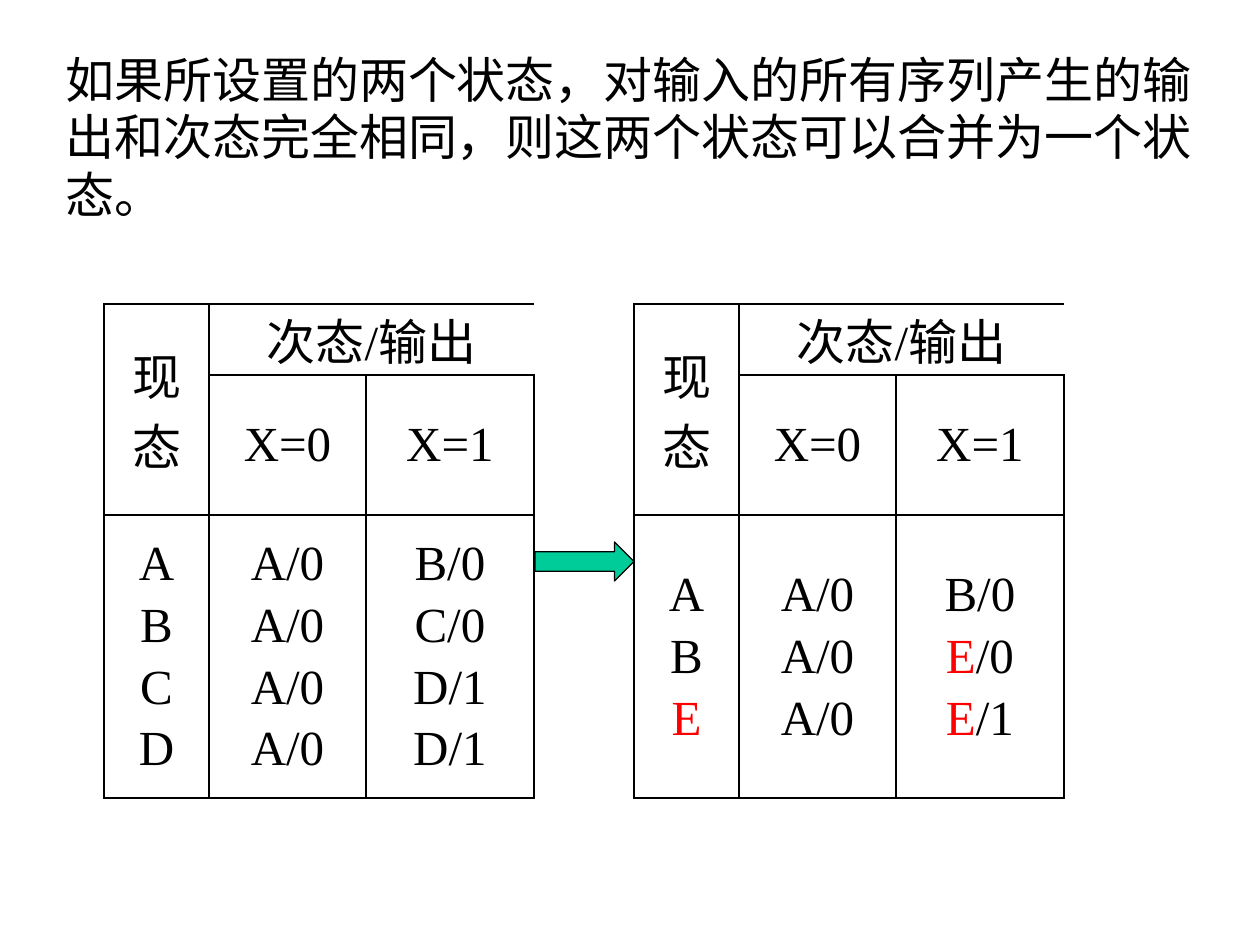
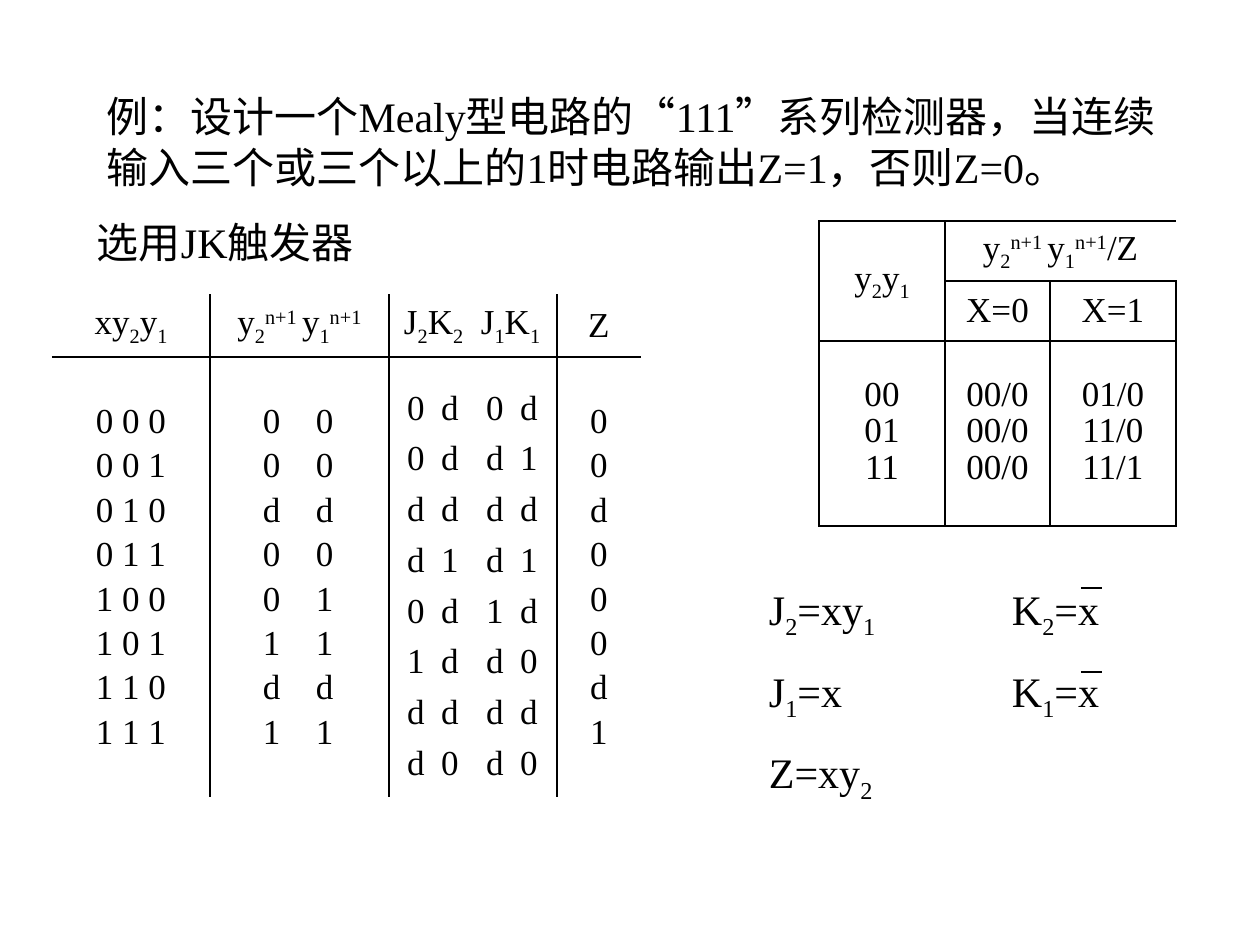
from dataclasses import dataclass
from typing import Optional

from lxml import etree
from pptx import Presentation
from pptx.dml.color import RGBColor
from pptx.enum.shapes import MSO_CONNECTOR, MSO_SHAPE
from pptx.enum.text import MSO_ANCHOR, MSO_AUTO_SIZE, PP_ALIGN
from pptx.oxml.ns import qn
from pptx.util import Pt

EMU_PER_PX = 914400 / 126
FONT = "Times New Roman"
BLACK, RED, GREEN = "000000", "FF0000", "00CC99"
BASELINES = {"_": "-25000", "^": "30000"}
PLAIN_TABLE = "{2D5ABB26-0587-4C30-8999-92F81FD0307C}"
TITLE_ONLY = 5
LEFT, CENTER = PP_ALIGN.LEFT, PP_ALIGN.CENTER
TOP, MIDDLE = MSO_ANCHOR.TOP, MSO_ANCHOR.MIDDLE
STRAIGHT, ARROW = MSO_CONNECTOR.STRAIGHT, MSO_SHAPE.RIGHT_ARROW
NO_RESIZE = MSO_AUTO_SIZE.NONE
SIDES = {"lnL": (0, -1), "lnR": (0, 1), "lnT": (-1, 0), "lnB": (1, 0)}


@dataclass(frozen=True)
class Style:
    size: int
    align: int = CENTER
    before: float = 0
    leading: Optional[float] = None
    tabs: tuple[int, ...] = ()


@dataclass(frozen=True)
class Cell:
    text: str
    style: Style
    indent: Optional[int] = None


@dataclass(frozen=True)
class Grid:
    left: int
    top: int
    columns: tuple[int, ...]
    rows: tuple[int, ...]
    cells: tuple[tuple[Optional[Cell], ...], ...]
    merges: tuple[tuple[int, int, int, int], ...] = ()
    framed: bool = True


HEADING_LARGE = Style(28, LEFT, leading=Pt(33))
HEADING = Style(24, LEFT, leading=Pt(29))
STATE = Style(28, before=4.4)
STATE_HEAD = Style(28, leading=Pt(40))
CODE = Style(20, before=3.2)
CODE_TIGHT = Style(20, before=3.2, leading=0.8)
CODE_PAIR = Style(20, LEFT, before=3.2, tabs=(53,))
JK_HEAD = Style(20, LEFT, tabs=(77,))
JK_ROWS = Style(20, LEFT, before=5, tabs=(34, 79, 113))
EQUATION = Style(24, LEFT, before=14, tabs=(243,))

HEADER_MERGES = ((0, 0, 1, 0), (0, 1, 0, 2))
NEXT_STATE = "y|_2|^n+1 |y|_1|^n+1"


def px(length: int) -> int:
    return round(length * EMU_PER_PX)


def color(value: str) -> RGBColor:
    return RGBColor.from_string(value)


def write(frame, text: str, style: Style) -> None:
    for index, line in enumerate(text.split("\n")):
        para = frame.paragraphs[0] if index == 0 else frame.add_paragraph()
        para.alignment = style.align
        para.space_before = Pt(style.before if index else 0)
        if style.leading is not None:
            para.line_spacing = style.leading
        if style.tabs:
            stops = etree.SubElement(para._p.get_or_add_pPr(), qn("a:tabLst"))
            for stop in style.tabs:
                etree.SubElement(stops, qn("a:tab"), pos=str(px(stop)), algn="l")
        for part in line.split("|"):
            mark = part[0] if part[0] in "_^!" else ""
            span = para.add_run()
            span.text = part[len(mark):]
            span.font.name = FONT
            span.font.size = Pt(style.size)
            span.font.color.rgb = color(RED if mark == "!" else BLACK)
            if mark in BASELINES:
                span._r.get_or_add_rPr().set("baseline", BASELINES[mark])


def place(box, left: int, top: int, width: int, height: int) -> None:
    box.left, box.top, box.width, box.height = map(px, (left, top, width, height))


def add_titled_page(deck, text: str, style: Style, area: tuple[int, int, int, int]):
    page = deck.slides.add_slide(deck.slide_layouts[TITLE_ONLY])
    title = page.shapes.title
    place(title, *area)
    frame = title.text_frame
    frame.word_wrap = True
    frame.auto_size = NO_RESIZE
    frame.vertical_anchor = TOP
    write(frame, text, style)
    return page


def add_text(page, text: str, style: Style, area: tuple[int, int, int, int], indent: int = 13) -> None:
    box = page.shapes.add_textbox(*map(px, area))
    frame = box.text_frame
    frame.word_wrap = True
    frame.margin_left = px(indent)
    write(frame, text, style)


def add_border(cell, side: str, visible: bool) -> None:
    line = etree.SubElement(cell._tc.get_or_add_tcPr(), qn(f"a:{side}"), w=str(Pt(1)))
    if visible:
        fill = etree.SubElement(line, qn("a:solidFill"))
        etree.SubElement(fill, qn("a:srgbClr"), val=BLACK)
    else:
        etree.SubElement(line, qn("a:noFill"))


def add_grid(page, grid: Grid) -> None:
    row_count, column_count = len(grid.rows), len(grid.columns)
    size = (sum(grid.columns), sum(grid.rows))
    holder = page.shapes.add_table(row_count, column_count, *map(px, (grid.left, grid.top, *size)))
    table = holder.table
    table.first_row = table.horz_banding = False
    table._tbl.tblPr.find(qn("a:tableStyleId")).text = PLAIN_TABLE
    for column, width in zip(table.columns, grid.columns):
        column.width = px(width)
    for row, height in zip(table.rows, grid.rows):
        row.height = px(height)
    owners = {(r, c): (r, c) for r in range(row_count) for c in range(column_count)}
    for first_row, first_column, last_row, last_column in grid.merges:
        table.cell(first_row, first_column).merge(table.cell(last_row, last_column))
        for r in range(first_row, last_row + 1):
            for c in range(first_column, last_column + 1):
                owners[r, c] = (first_row, first_column)
    for (r, c), owner in owners.items():
        cell = table.cell(r, c)
        for side, (down, across) in SIDES.items():
            neighbour = owners.get((r + down, c + across))
            visible = grid.framed if neighbour is None else neighbour != owner
            add_border(cell, side, visible)
        cell.fill.background()
        cell.vertical_anchor = MIDDLE
        cell.margin_top = cell.margin_bottom = 0
        content = grid.cells[r][c]
        if content:
            if content.indent is not None:
                cell.margin_left, cell.margin_right = px(content.indent), 0
            write(cell.text_frame, content.text, content.style)


def state_table(left: int, states: str, low: str, high: str) -> Grid:
    return Grid(
        left, 304, (105, 157, 168), (71, 130, 283),
        (
            (Cell("现态", STATE_HEAD), Cell("次态/输出", STATE_HEAD), None),
            (None, Cell("X=0", STATE), Cell("X=1", STATE)),
            tuple(Cell(text, STATE) for text in (states, low, high)),
        ),
        HEADER_MERGES,
    )


def build_merging_page(deck) -> None:
    page = add_titled_page(
        deck,
        "如果所设置的两个状态，对输入的所有序列产生的输出和次态完全相同，则这两个状态可以合并为一个状态。",
        HEADING_LARGE, (53, 44, 1163, 190),
    )
    add_grid(page, state_table(104, "A\nB\nC\nD", "\n".join(["A/0"] * 4), "B/0\nC/0\nD/1\nD/1"))
    add_grid(page, state_table(634, "A\nB\n!E", "\n".join(["A/0"] * 3), "B/0\n!E|/0\n!E|/1"))
    arrow = page.shapes.add_shape(ARROW, *map(px, (535, 542, 99, 39)))
    arrow.shadow.inherit = False
    arrow.fill.solid()
    arrow.fill.fore_color.rgb = color(GREEN)
    arrow.line.color.rgb = color(BLACK)
    arrow.line.width = Pt(0.75)


def build_detector_page(deck) -> None:
    page = add_titled_page(
        deck,
        "例：设计一个Mealy型电路的“111”系列检测器，当连续输入三个或三个以上的1时电路输出Z=1，否则Z=0。",
        HEADING, (94, 84, 1113, 113),
    )
    add_grid(page, Grid(
        819, 221, (126, 105, 126), (60, 60, 185),
        (
            (Cell("y|_2|y|_1", CODE), Cell(NEXT_STATE + "|/Z", CODE), None),
            (None, Cell("X=0", CODE), Cell("X=1", CODE)),
            tuple(Cell(text, CODE_TIGHT) for text in
                  ("00\n01\n11", "00/0\n00/0\n00/0", "01/0\n11/0\n11/1")),
        ),
        HEADER_MERGES,
    ))
    add_text(page, "选用JK触发器", HEADING, (84, 210, 514, 63))
    inputs = "\n".join(" ".join(f"{number:03b}") for number in range(8))
    following = "\n".join("\t".join(pair) for pair in "00 00 dd 00 01 11 dd 11".split())
    add_grid(page, Grid(
        52, 294, (158, 179, 168, 84), (63, 440),
        (
            (Cell("xy|_2|y|_1", CODE), Cell(NEXT_STATE, CODE),
             Cell("J|_2|K|_2|\tJ|_1|K|_1", JK_HEAD, 15), Cell("Z", CODE)),
            (Cell(inputs, CODE), Cell(following, CODE_PAIR, 53),
             None, Cell("\n".join("00d000d1"), CODE)),
        ),
        framed=False,
    ))
    add_text(
        page,
        "J|_2|=xy|_1|\tK|_2|=x\nJ|_1|=x\tK|_1|=x\nZ=xy|_2",
        EQUATION, (756, 577, 441, 214),
    )
    for top in (588, 672):
        overline = page.shapes.add_connector(STRAIGHT, *map(px, (1081, top, 1102, top)))
        overline.line.color.rgb = color(BLACK)
        overline.line.width = Pt(0.75)
        etree.SubElement(overline._element.spPr, qn("a:effectLst"))
    excitations = "0d0d 0dd1 dddd d1d1 0d1d 1dd0 dddd d0d0".split()
    add_text(page, "\n".join("\t".join(row) for row in excitations), JK_ROWS, (388, 379, 168, 407), 19)


def main() -> None:
    deck = Presentation()
    deck.slide_width, deck.slide_height = px(1260), px(945)
    build_merging_page(deck)
    build_detector_page(deck)
    deck.save("out.pptx")


if __name__ == "__main__":
    main()
